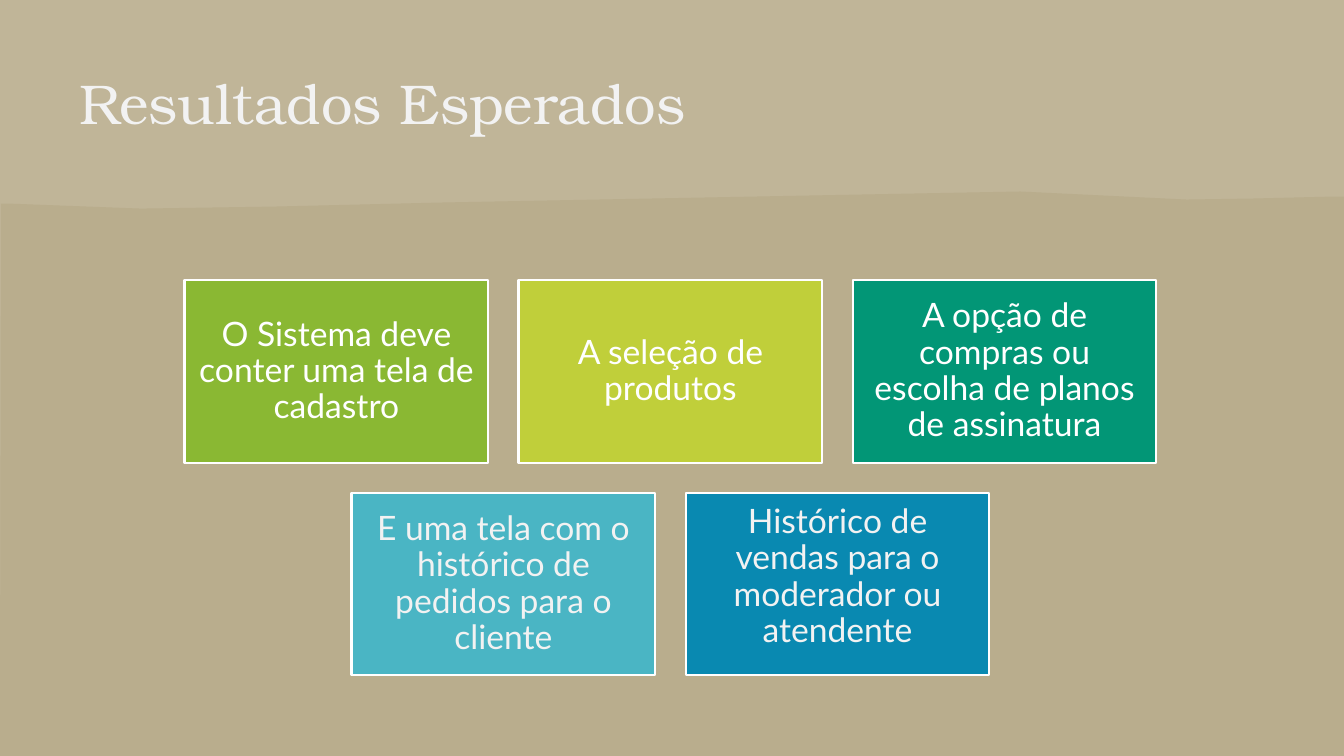
from dataclasses import dataclass

from pptx import Presentation
from pptx.dml.color import RGBColor
from pptx.enum import shapes, text
from pptx.util import Inches, Pt


@dataclass(frozen=True)
class Theme:
    sand: str = "B9AD8D"
    band: str = "C0B598"
    white: str = "FFFFFF"
    pale: str = "F2F2F2"
    serif: str = "TeX Gyre Bonum"
    sans: str = "Lato"
    head: int = 40
    body: int = 24


THEME = Theme()
WIDE, HIGH = 13.33, 7.5

# Top edge of the lower ground, from right to left
EDGE = [(13.33, 1.95), (13.23, 1.95), (12.43, 1.97), (11.77, 1.98),
        (10.12, 1.9), (4.36, 2.01), (3.54, 2.03), (2.72, 2.05),
        (1.4, 2.07), (0.08, 2.02), (0.01, 2.02)]

# Rows of cards: text, fill, text colour, bottom inset
ROWS = [
    [("O Sistema deve conter uma tela de cadastro", "8AB833", THEME.white, 0.1),
     ("A seleção de produtos", "C0CF3A", THEME.white, 0.1),
     ("A opção de compras ou escolha de planos de assinatura",
      "029676", THEME.white, 0.1)],
    [("E uma tela com o histórico de pedidos para o cliente",
      "4AB5C4", THEME.pale, 0.1),
     ("Histórico de vendas para o moderador ou atendente",
      "0989B1", THEME.pale, 0.24)],
]


def put(item, **vals):
    for name, val in vals.items():
        setattr(item, name, val)


def paint(shape, fill, line=None):
    shape.shadow.inherit = False
    shape.fill.solid()
    shape.fill.fore_color.rgb = RGBColor.from_string(fill)
    if line:
        shape.line.color.rgb = RGBColor.from_string(line)
        shape.line.width = Pt(1.5)
    else:
        shape.line.fill.background()


def write(shape, words, face, size, color, frame, para):
    put(shape.text_frame, word_wrap=True, **frame)
    line = shape.text_frame.paragraphs[0]
    line.text = words
    put(line, **para)
    put(line.font, name=face, size=Pt(size), bold=False)
    line.font.color.rgb = RGBColor.from_string(color)


def pad(side, low):
    return dict(margin_left=Inches(side), margin_right=Inches(side),
                margin_top=Inches(side), margin_bottom=Inches(low))


def ground(slide, left, top, wide, high):
    slide.background.fill.solid()
    slide.background.fill.fore_color.rgb = RGBColor.from_string(THEME.sand)
    band = slide.shapes.add_shape(
        shapes.MSO_SHAPE.RECTANGLE,
        *map(Inches, (left, top, wide, high)))
    paint(band, THEME.band)
    # Lower ground with its uneven edge
    pts = [(Inches(left + x), Inches(top + y)) for x, y in EDGE]
    pts.append((Inches(left), Inches(top + high)))
    draw = slide.shapes.build_freeform(
        Inches(left + wide), Inches(top + high))
    draw.add_line_segments(pts, close=True)
    paint(draw.convert_to_shape(), THEME.sand)


def heading(slide, left, top, wide, high):
    title = slide.shapes.title
    put(title, left=Inches(left), top=Inches(top),
        width=Inches(wide), height=Inches(high))
    # Bring the title in front of the ground
    title.element.getparent().append(title.element)
    write(title, "Resultados Esperados", THEME.serif, THEME.head, THEME.pale,
          dict(pad(0, 0), auto_size=text.MSO_AUTO_SIZE.NONE,
               vertical_anchor=text.MSO_ANCHOR.TOP),
          dict(alignment=text.PP_ALIGN.LEFT, line_spacing=1.0))


def cards(slide, left, top, wide, high):
    gap = 0.3
    most = max(map(len, ROWS))
    card_w = (wide - gap * (most - 1)) / most
    card_h = (high - gap * (len(ROWS) - 1)) / len(ROWS)
    for i, row in enumerate(ROWS):
        # Each row is centred in the box
        start = left + (most - len(row)) * (card_w + gap) / 2
        for j, (words, fill, color, low) in enumerate(row):
            card = slide.shapes.add_shape(
                shapes.MSO_SHAPE.RECTANGLE,
                Inches(start + j * (card_w + gap)),
                Inches(top + i * (card_h + gap)),
                Inches(card_w), Inches(card_h))
            paint(card, fill, THEME.white)
            write(card, words, THEME.sans, THEME.body, color,
                  dict(pad(0.1, low), vertical_anchor=text.MSO_ANCHOR.MIDDLE),
                  dict(alignment=text.PP_ALIGN.CENTER, line_spacing=0.9))


def main():
    deck = Presentation()
    put(deck, slide_width=Inches(WIDE), slide_height=Inches(HIGH))
    slide = deck.slides.add_slide(deck.slide_layouts[5])
    ground(slide, 0, 0, WIDE, HIGH)
    heading(slide, 0.79, 0.68, 11.73, 0.75)
    cards(slide, 1.83, 2.78, 9.64, 3.92)
    deck.save("out.pptx")


if __name__ == "__main__":
    main()
